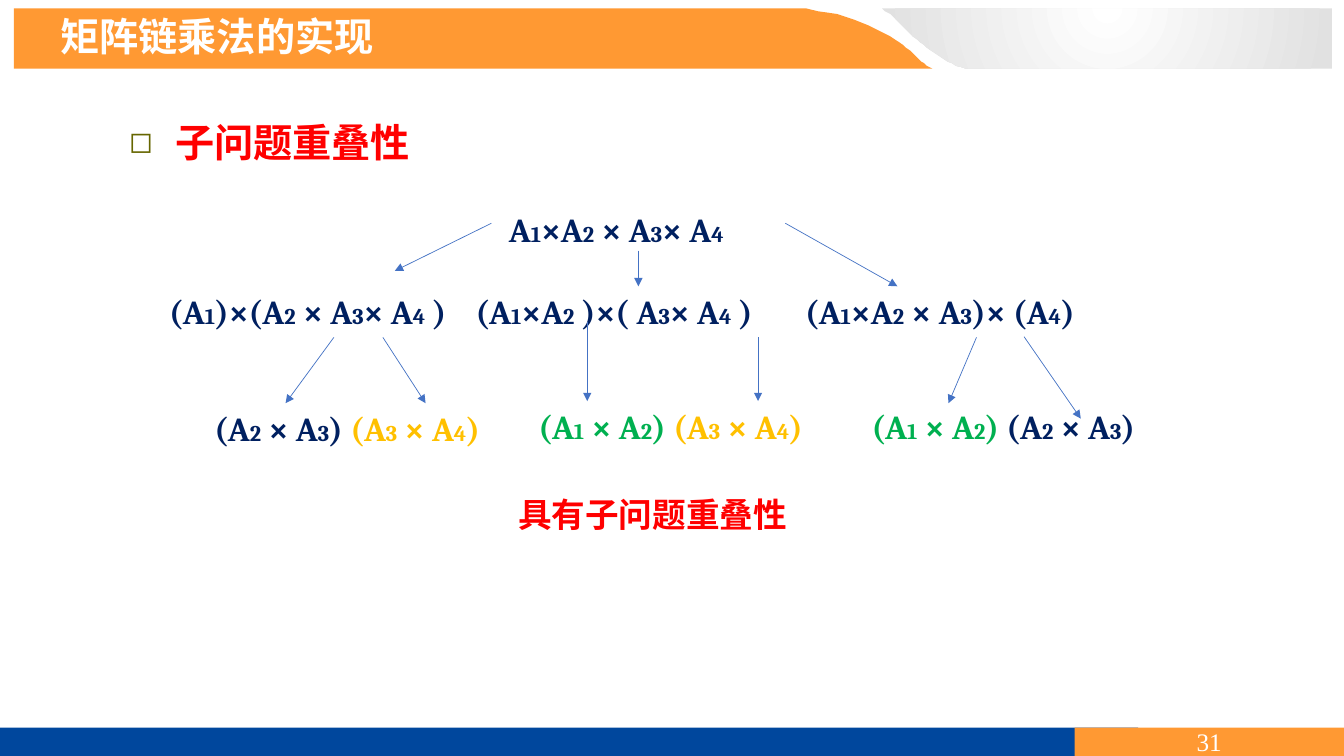
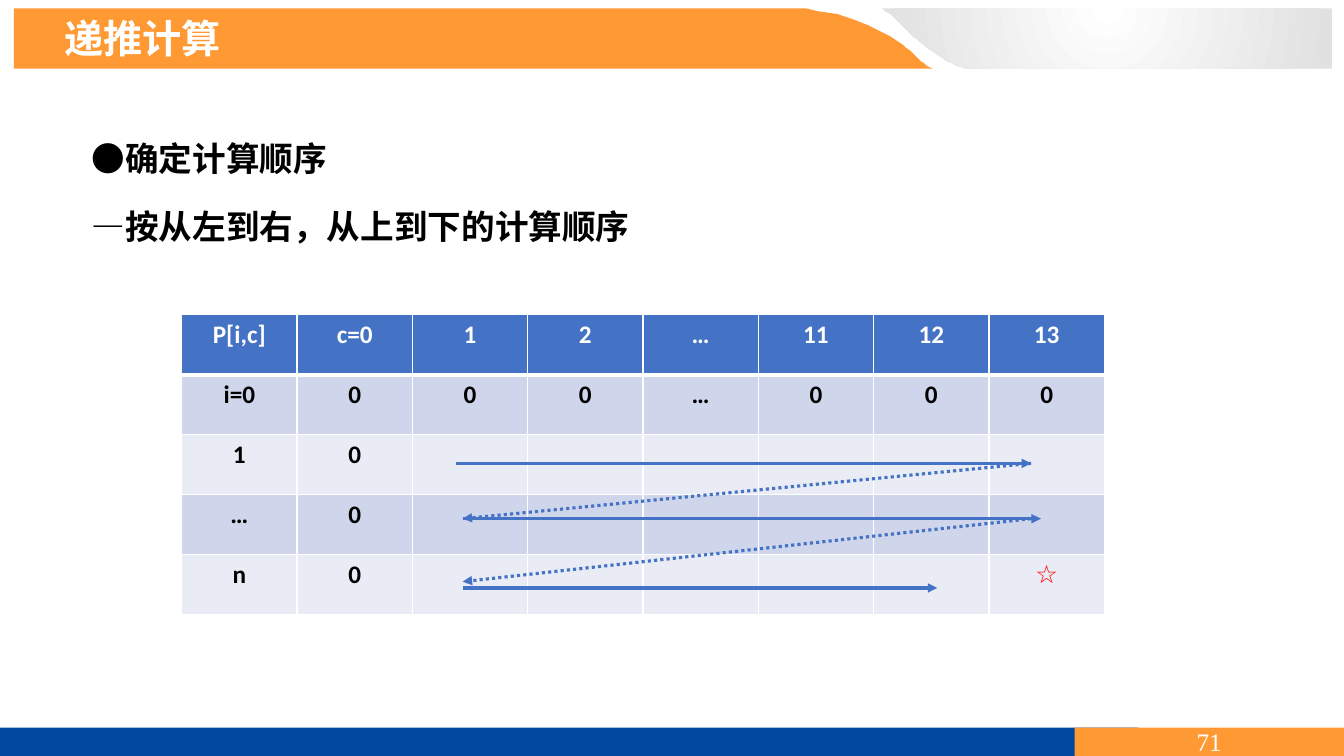
from itertools import groupby

from pptx import Presentation
from pptx.dml.color import RGBColor
from pptx.enum import dml, shapes, text
from pptx.oxml import parse_xml
from pptx.oxml.ns import nsdecls
from pptx.util import Pt

ORANGE, BLUE, WHITE, BLACK, RED = "FF9933", "00479D", "FFFFFF", "000000", "FF0000"
NAVY, GREEN, GOLD, ACCENT = "002060", "00B050", "FFC000", "4472C4"
CJK, MATH, BODY, NUMBER = "Noto Sans CJK SC", "Cambria", "Calibri", "Times New Roman"
INSET = 7.2

# Overlapping subproblems: (left, top, width, height), coloured parts
ROOT_BOX = (351, 140, 210, 39)
ROOT = [("A1×A2 × A3× A4", NAVY)]
FORMULAS = [
    ((113.8, 204.5, 216, 36), [("(A1)×(A2 × A3× A4 )", NAVY)]),
    ((332.6, 204.5, 216, 36), [("(A1×A2 )×( A3× A4 )", NAVY)]),
    ((568, 204.5, 216, 36), [("(A1×A2 × A3)× (A4)", NAVY)]),
    ((146, 288, 238, 36), [("(A2 × A3) ", NAVY), ("(A3 × A4)", GOLD)]),
    ((377.5, 286.5, 238, 36), [("(A1 × A2) ", GREEN), ("(A3 × A4)", GOLD)]),
    ((615.5, 286.5, 238, 36), [("(A1 × A2) ", GREEN), ("(A2 × A3)", NAVY)]),
]
# Side of the root box -> arrow tip
ROOT_ARROWS = {1: (282, 193.5), 2: (456, 204.5), 3: (641, 204.5)}
SPLIT_ARROWS = [
    (238.5, 241, 204, 288), (273.5, 241, 304, 288),
    (419.5, 230, 419.5, 286.5), (541.5, 241, 541.5, 286.5),
    (697.5, 241, 677.5, 288), (731.5, 240.5, 772, 299),
]

# Order of computation
STEPS = ["●确定计算顺序", "—按从左到右，从上到下的计算顺序"]
GRID = [
    ["P[i,c]", "c=0", "1", "2", "…", "11", "12", "13"],
    ["i=0", "0", "0", "0", "…", "0", "0", "0"],
    ["1", "0", "", "", "", "", "", ""],
    ["…", "0", "", "", "", "", "", ""],
    ["n", "0", "", "", "", "", "", "☆"],
]
COLUMN_WIDTH, ROW_HEIGHT = 82.4, 42.9
SWEEPS = [(325.5, 331, 736.5, 331), (330.5, 370.5, 743.5, 370.5), (330.5, 420, 669.5, 420)]
RETURNS = [(736.5, 331, 330.5, 370.5), (736.5, 370.5, 330.5, 415.5)]


def rgb(value):
    return RGBColor.from_string(value)


def style(font, name, size, color, bold=True):
    for key, value in dict(name=name, size=Pt(size), bold=bold).items():
        setattr(font, key, value)
    font.color.rgb = rgb(color)


def add_span(para, words, name, size, color, bold=True):
    span = para.add_run()
    span.text = words
    style(span.font, name, size, color, bold)
    if name == CJK:
        span.font._element.append(parse_xml(f'<a:ea {nsdecls("a")} typeface="{CJK}"/>'))


def add_box(page, frame):
    box = page.shapes.add_textbox(*map(Pt, frame))
    box.text_frame.word_wrap = True
    return box


def add_label(page, frame, words, size, color):
    para = add_box(page, frame).text_frame.paragraphs[0]
    add_span(para, words, CJK, size, color)
    return para


def add_formula(page, frame, parts):
    """Write a product of matrices, with its index digits smaller."""
    box = add_box(page, frame)
    para = box.text_frame.paragraphs[0]
    for words, color in parts:
        for is_index, letters in groupby(words, str.isdigit):
            add_span(para, "".join(letters), MATH, 16 if is_index else 24, color)
    return box


def add_arrow(page, ends, width, dash=None):
    line = page.shapes.add_connector(shapes.MSO_CONNECTOR.STRAIGHT, *map(Pt, ends))
    line.line.color.rgb = rgb(ACCENT)
    line.line.width = Pt(width)
    if dash:
        line.line.dash_style = dash
    line.line._get_or_add_ln().append(parse_xml(f'<a:tailEnd {nsdecls("a")} type="triangle"/>'))
    line._element.spPr.append(parse_xml(f'<a:effectLst {nsdecls("a")}/>'))
    return line


def paint(shape, color):
    shape.shadow.inherit = False
    shape.line.fill.background()
    shape.fill.solid()
    shape.fill.fore_color.rgb = rgb(color)


def bezier(start, first, second, end, steps=24):
    """Return points along a cubic curve."""
    points = []
    for step in range(steps + 1):
        t = step / steps
        weights = ((1 - t) ** 3, 3 * t * (1 - t) ** 2, 3 * t * t * (1 - t), t ** 3)
        points.append(tuple(sum(w * p[axis] for w, p in zip(weights, (start, first, second, end)))
                            for axis in (0, 1)))
    return points


def add_outline(page, points, color):
    builder = page.shapes.build_freeform(*points[0], scale=Pt(1))
    builder.add_line_segments(points[1:], close=True)
    shape = builder.convert_to_shape()
    paint(shape, color)
    return shape


def add_bar(page, frame, color):
    bar = page.shapes.add_shape(shapes.MSO_SHAPE.RECTANGLE, *map(Pt, frame))
    paint(bar, color)
    return bar


def add_page(deck, title, left, top, number):
    page = deck.slides.add_slide(deck.slide_layouts[6])
    high, low = 6.5, 49
    add_outline(page, [(10, high), *bezier((576, high), (640, 15), (650, 41), (666, low)),
                       (10, low)], ORANGE)
    silver = add_outline(page, [(951.5, low), *bezier((690.5, low), (661, 41), (645, 15), (630, high)),
                                (951.5, high)], WHITE)
    silver.fill.gradient()
    for stop, color in zip(silver.fill.gradient_stops, (WHITE, "E1E1E1")):
        stop.color.rgb = rgb(color)
    gradient = silver.fill._fill._gradFill
    gradient.remove(gradient.lin)
    gradient.append(parse_xml(
        f'<a:path {nsdecls("a")} path="circle">'
        '<a:fillToRect l="50000" t="-80000" r="50000" b="180000"/></a:path>'))
    add_bar(page, (0, 519.8, 813, 20.2), BLUE)
    footer = add_bar(page, (767.5, 519.8, 192.5, 20.2), ORANGE).text_frame
    footer.vertical_anchor = text.MSO_ANCHOR.MIDDLE
    footer.paragraphs[0].alignment = text.PP_ALIGN.CENTER
    add_span(footer.paragraphs[0], number, NUMBER, 18, WHITE, False)
    add_label(page, (left, top, 492, 41), title, 28, WHITE)
    return page


def add_overlap_page(deck):
    page = add_page(deck, "矩阵链乘法的实现", 36, 5, "31")
    heading = add_label(page, (85, 81, 556, 54), "子问题重叠性", 28, RED)
    props = heading._p.get_or_add_pPr()
    props.set("marL", str(Pt(33)))
    props.set("indent", str(Pt(-33)))
    for xml in ('<a:buClr {}><a:srgbClr val="666600"/></a:buClr>', '<a:buSzPct {} val="75000"/>',
                '<a:buFont {} typeface="DejaVu Sans"/>', '<a:buChar {} char="◻"/>'):
        props.append(parse_xml(xml.format(nsdecls("a"))))

    root = add_formula(page, ROOT_BOX, ROOT)
    root.text_frame.margin_left = Pt(INSET + 5.3)
    root.text_frame.paragraphs[0].line_spacing = 1.2
    for frame, parts in FORMULAS:
        add_formula(page, frame, parts)
    for side, tip in ROOT_ARROWS.items():
        add_arrow(page, (*tip, *tip), 0.5).begin_connect(root, side)
    for ends in SPLIT_ARROWS:
        add_arrow(page, ends, 0.5)
    add_label(page, (363, 349, 238, 36), "具有子问题重叠性", 24, RED)


def set_borders(cell, top, bottom):
    props = cell._tc.get_or_add_tcPr()
    for side, width in dict(L=1, R=1, T=top, B=bottom).items():
        props.append(parse_xml(
            f'<a:ln{side} {nsdecls("a")} w="{Pt(width)}"><a:solidFill>'
            f'<a:srgbClr val="{WHITE}"/></a:solidFill></a:ln{side}>'))


def add_grid(page):
    rows, columns = len(GRID), len(GRID[0])
    table = page.shapes.add_table(rows, columns, Pt(129.8), Pt(224.8), Pt(COLUMN_WIDTH * columns),
                                  Pt(ROW_HEIGHT * rows)).table
    for column in table.columns:
        column.width = Pt(COLUMN_WIDTH)
    for r, values in enumerate(GRID):
        table.rows[r].height = Pt(ROW_HEIGHT)
        fill = ACCENT if r == 0 else ("E9EBF5", "CFD5EA")[r % 2]
        for c, value in enumerate(values):
            cell = table.cell(r, c)
            set_borders(cell, 3 if r == 1 else 1, 3 if r == 0 else 1)
            cell.fill.solid()
            cell.fill.fore_color.rgb = rgb(fill)
            para = cell.text_frame.paragraphs[0]
            para.alignment = text.PP_ALIGN.CENTER
            if value:
                color = WHITE if r == 0 else RED if value == "☆" else BLACK
                add_span(para, value, BODY, 18, color)


def add_order_page(deck):
    page = add_page(deck, "递推计算", 39, 7, "71")
    frame = add_box(page, (58.5, 76, 731, 121)).text_frame
    for index, step in enumerate(STEPS):
        para = frame.add_paragraph() if index else frame.paragraphs[0]
        para.line_spacing = Pt(48)
        add_span(para, step, CJK, 24, BLACK)
    add_grid(page)
    for ends in SWEEPS:
        add_arrow(page, ends, 2.25)
    for ends in RETURNS:
        add_arrow(page, ends, 2.25, dml.MSO_LINE.ROUND_DOT)


def main():
    deck = Presentation()
    deck.slide_width, deck.slide_height = Pt(960), Pt(540)
    add_overlap_page(deck)
    add_order_page(deck)
    deck.save("out.pptx")


if __name__ == "__main__":
    main()
